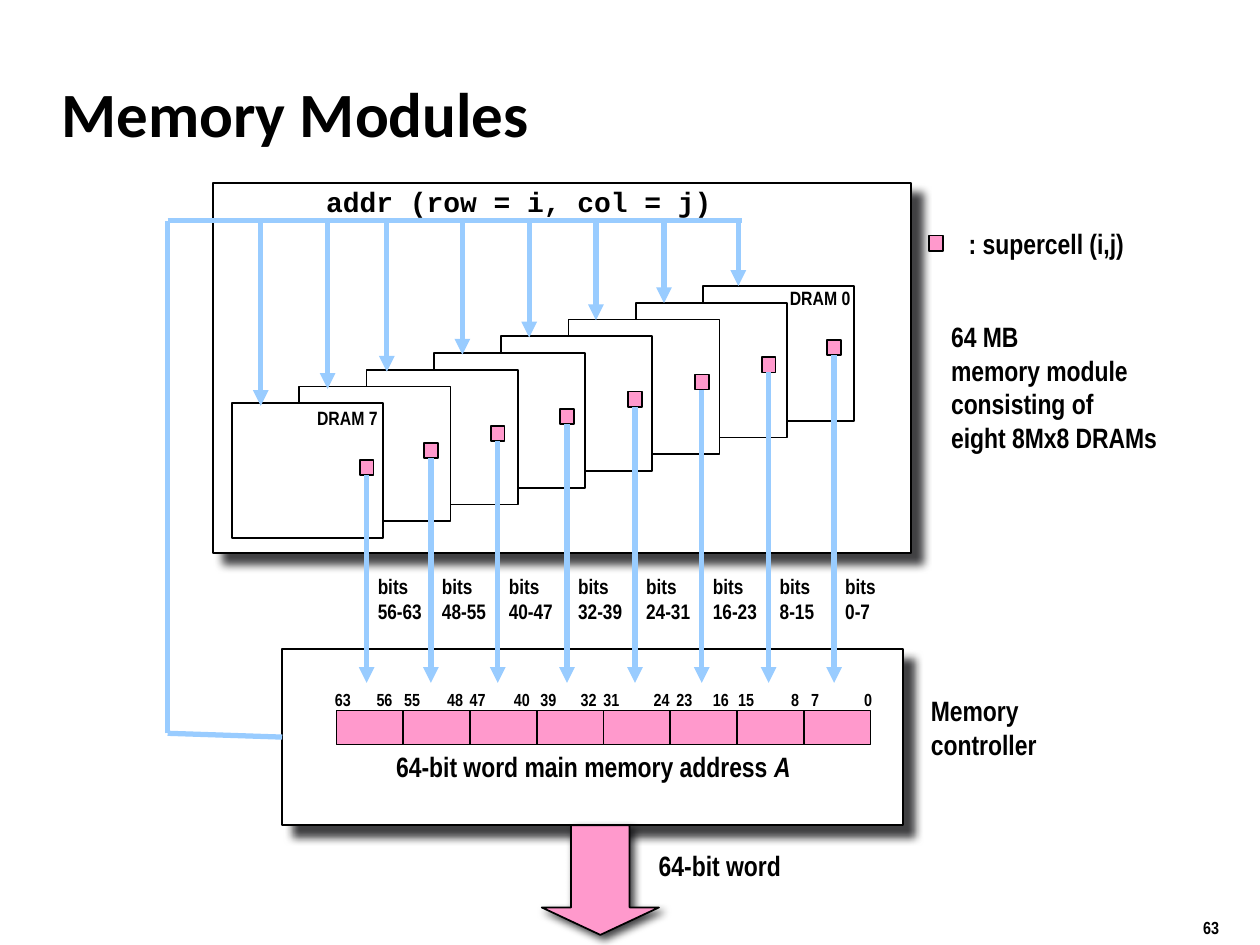
from dataclasses import dataclass

from lxml import etree
from pptx import Presentation
from pptx import util as u
from pptx.dml import color
from pptx.enum import shapes, text
from pptx.oxml import ns

COLORS = {"ink": "000000", "shade": "000004", "paper": "FFFFFF",
          "cell": "FF99CC", "bus": "99CCFF"}
NARROW = "Arial Narrow"

# Grid: 100 columns by 75 rows
COLUMNS, ROWS = 100, 75
prs = Presentation()
prs.slide_width, prs.slide_height = u.Inches(10), u.Inches(7.5)
slide = prs.slides.add_slide(prs.slide_layouts[6])


@dataclass
class Area:
    left: float
    top: float
    width: float
    height: float

    def emu(self) -> tuple:
        return (col(self.left), row(self.top), col(self.width), row(self.height))


@dataclass
class Lane:
    """One DRAM: columns of its address line, data line and bit numbers."""
    address: float
    data: float
    high_bit: float
    low_bit: float


# DRAM 0 to DRAM 7
LANES = [
    Lane(58.6, 66.2, 63.4, 67.6),
    Lane(52.7, 61.0, 57.6, 61.8),
    Lane(47.3, 55.7, 52.7, 55.6),
    Lane(42.0, 50.4, 46.9, 50.9),
    Lane(36.7, 45.0, 41.9, 45.1),
    Lane(30.7, 39.5, 36.3, 39.8),
    Lane(26.0, 34.2, 31.1, 34.5),
    Lane(20.7, 29.1, 25.6, 28.9),
]
BUS_LEFT, BUS_TOP = 13.3, 17.5


def col(n: float) -> int:
    return round(prs.slide_width * n / COLUMNS)


def row(n: float) -> int:
    return round(prs.slide_height * n / ROWS)


def rgb(name: str) -> color.RGBColor:
    return color.RGBColor.from_string(COLORS[name])


def add_shadow(shape, distance: float) -> None:
    effects = shape._element.spPr.find(ns.qn("a:effectLst"))
    shadow = etree.SubElement(
        effects, ns.qn("a:outerShdw"), blurRad=str(u.Pt(5)),
        dist=str(u.Pt(distance)), dir="2700000", algn="tl", rotWithShape="0")
    shade = etree.SubElement(shadow, ns.qn("a:srgbClr"), val=COLORS["shade"])
    etree.SubElement(shade, ns.qn("a:alpha"), val="75000")


def add_block(area: Area, fill: str = "paper", shadow: float = 0,
              preset=shapes.MSO_SHAPE.RECTANGLE):
    block = slide.shapes.add_shape(preset, *area.emu())
    block.shadow.inherit = False
    block.fill.solid()
    block.fill.fore_color.rgb = rgb(fill)
    block.line.color.rgb = rgb("ink")
    block.line.width = u.Pt(1)
    if shadow:
        add_shadow(block, shadow)
    return block


def add_supercell(left: float, top: float):
    return add_block(Area(left, top, 1.1, 1.2), "cell")


def add_line(x1: float, y1: float, x2: float, y2: float, arrow: bool = False):
    line = slide.shapes.add_connector(
        shapes.MSO_CONNECTOR.STRAIGHT, col(x1), row(y1), col(x2), row(y2))
    line.line.color.rgb = rgb("bus")
    line.line.width = u.Pt(3)
    if arrow:
        etree.SubElement(line.line._get_or_add_ln(), ns.qn("a:tailEnd"), type="triangle")
    etree.SubElement(line._element.spPr, ns.qn("a:effectLst"))
    return line


def add_text(words: str, area: Area, size: float = 16, font: str = NARROW,
             italic_end: str = "", align=text.PP_ALIGN.LEFT,
             anchor=text.MSO_ANCHOR.MIDDLE) -> None:
    frame = slide.shapes.add_textbox(*area.emu()).text_frame
    frame.word_wrap = False
    frame.vertical_anchor = anchor
    for i, words_line in enumerate(words.split("\n")):
        para = frame.paragraphs[0] if i == 0 else frame.add_paragraph()
        para.alignment = align
        para.add_run().text = words_line
    if italic_end:
        run = para.add_run()
        run.text = italic_end
        run.font.italic = True
    for para in frame.paragraphs:
        for run in para.runs:
            run.font.size, run.font.name, run.font.bold = u.Pt(size), font, True
            run.font.color.rgb = rgb("ink")


# Title and slide number
add_text("Memory Modules", Area(3.9, 4.8, 83, 8.3), size=36, font="Calibri")
add_text("63", Area(94.5, 72.3, 5, 2.6), size=10, anchor=text.MSO_ANCHOR.TOP)

# Memory module and controller
add_block(Area(16.9, 14.5, 55.4, 29.4), shadow=8.5)
controller = add_block(Area(22.4, 51.5, 49.3, 14), shadow=8.5)

# DRAM chips, from the back to the front
for n in range(len(LANES)):
    add_block(Area(55.8 - 5.34 * n, 22.7 + 1.33 * n, 12, 10.7))
    if n in (0, len(LANES) - 1):
        add_text(f"DRAM {n}", Area(61.7 - 5.36 * n, 22.2 + 1.36 * n, 7, 2.8), size=11)

# Address bus
add_line(BUS_LEFT, BUS_TOP, 58.9, BUS_TOP)
add_text("addr (row = i, col = j)", Area(24.9, 14.2, 32.6, 3.6), font="Courier New")
for n, lane in enumerate(LANES):
    add_line(lane.address, BUS_TOP, lane.address, 22.7 + 1.36 * n, arrow=True)
add_line(22.4, 58.5, BUS_LEFT, 58.2).begin_connect(controller, 1)
add_line(BUS_LEFT, 58.2, BUS_LEFT, BUS_TOP)

# Supercells, data lines and the 64-bit register
for n, lane in enumerate(LANES):
    low, high = 8 * n, 8 * n + 7
    supercell = add_supercell(lane.data - 0.55, 27 + 1.36 * n)
    add_line(lane.data, 28.2 + 1.36 * n, lane.data, 54.2, arrow=True).begin_connect(supercell, 2)
    add_text(f"bits\n{low}-{high}", Area(lane.data - 0.1, 45, 6, 5), size=12)
    add_block(Area(63.8 - 5.3 * n, 56.4, 5.3, 2.7), "cell")
    for bit, left in ((high, lane.high_bit), (low, lane.low_bit)):
        add_text(str(bit), Area(left, 54.2, 4, 2.6), size=10)
add_text("64-bit word main memory address ", Area(30.4, 59, 33.4, 3.6),
         italic_end="A", align=text.PP_ALIGN.CENTER)

# Output word
arrow = add_block(Area(43, 65.5, 9.3, 8.7), "cell", shadow=3,
                  preset=shapes.MSO_SHAPE.DOWN_ARROW)
arrow.adjustments[0], arrow.adjustments[1] = 0.5, 0.25
add_text("64-bit word", Area(51.3, 66.9, 11.7, 3.6))

# Legend and side labels
add_supercell(73.75, 18.7)
add_text(": supercell (i,j)", Area(75.9, 17.5, 14.4, 3.6))
add_text("64 MB\nmemory module\nconsisting of\neight 8Mx8 DRAMs", Area(74.5, 24.9, 18.4, 11.6))
add_text("Memory\ncontroller", Area(72.9, 54.6, 10.4, 6.3))

prs.save("out.pptx")
